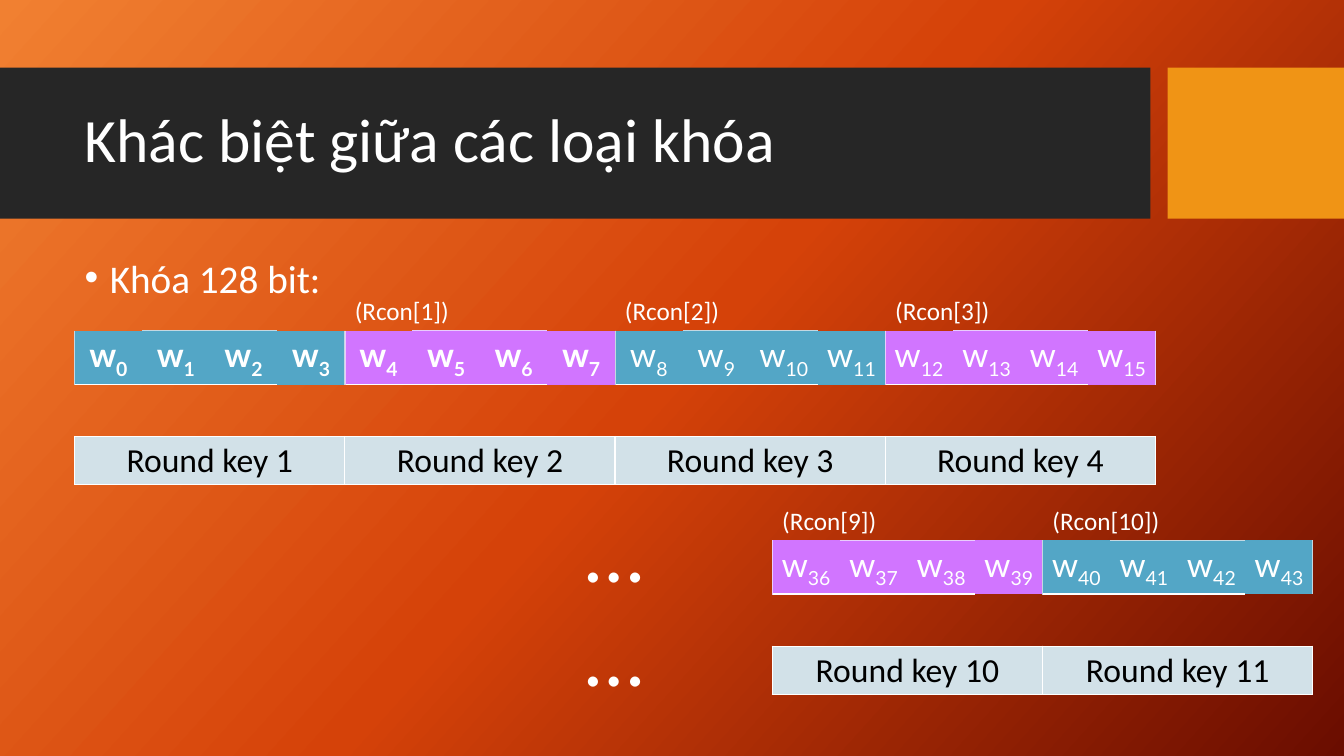
from copy import deepcopy
from dataclasses import dataclass
from typing import Any, Optional

from lxml import etree
from pptx import Presentation
from pptx.dml.color import RGBColor
from pptx.enum.shapes import MSO_SHAPE
from pptx.enum.text import MSO_ANCHOR, MSO_AUTO_SIZE, PP_ALIGN
from pptx.oxml.ns import qn
from pptx.util import Inches, Pt

RECTANGLE = MSO_SHAPE.RECTANGLE
MIDDLE = MSO_ANCHOR.MIDDLE
TOP = MSO_ANCHOR.TOP
CENTER = PP_ALIGN.CENTER
FIT_SHAPE = MSO_AUTO_SIZE.SHAPE_TO_FIT_TEXT
NO_AUTO_SIZE = MSO_AUTO_SIZE.NONE

WHITE = RGBColor(0xFF, 0xFF, 0xFF)
BLACK = RGBColor(0x00, 0x00, 0x00)
CHARCOAL = RGBColor(0x26, 0x26, 0x26)
AMBER = RGBColor(0xF0, 0x94, 0x15)
BLUE = RGBColor(0x53, 0xA6, 0xC6)
PALE_BLUE = RGBColor(0xC4, 0xD8, 0xE2)
PURPLE = RGBColor(0xD1, 0x75, 0xFF)
PALE_PURPLE = RGBColor(0xE9, 0xCC, 0xFC)
KEY_FILL = RGBColor(0xD2, 0xE1, 0xE8)
BACKGROUND_STOPS = (
    (0, RGBColor(0xF1, 0x80, 0x31)),
    (0.5, RGBColor(0xD5, 0x42, 0x09)),
    (1, RGBColor(0x6A, 0x0D, 0x00)),
)

BODY_FONT = "Calibri"
WORD_FONT = "Lato"
NO_TABLE_STYLE = "{2D5ABB26-0587-4C30-8999-92F81FD0307C}"
WORDS_PER_KEY = 4
WORD_WIDTH = 0.67
KEY_WIDTH = WORDS_PER_KEY * WORD_WIDTH
WORD_HEIGHT = 0.51
KEY_HEIGHT = 0.47
RCON_RISE = 0.4
KEY_DROP = 1.05

Borders = dict[str, tuple[RGBColor, float]]


@dataclass(frozen=True)
class KeyRow:
    left: float
    top: float
    first_key: int
    key_count: int


@dataclass(frozen=True)
class Label:
    text: str
    left: float
    top: float
    width: float
    height: float
    size: int
    wrap: bool = True
    auto_size: Any = FIT_SHAPE
    anchor: Any = TOP
    line_spacing: Optional[float] = None
    space_before: Optional[int] = None
    bullet: bool = False


KEY_ROWS = (KeyRow(0.74, 3.28, 1, 4), KeyRow(7.66, 5.36, 10, 2))
LABELS = (
    Label("Khác biệt giữa các loại khóa", 0.74, 0.82, 10.51, 1.18, 44,
          auto_size=NO_AUTO_SIZE, anchor=MIDDLE, line_spacing=0.9),
    Label("Khóa 128 bit:", 0.74, 2.56, 2.68, 0.5, 28,
          auto_size=NO_AUTO_SIZE, line_spacing=0.8, space_before=10, bullet=True),
    Label("…", 5.71, 4.9, 0.78, 1.11, 60),
    Label("…", 5.71, 5.93, 0.78, 1.11, 60),
)


def set_attributes(target: Any, values: dict[str, Any]) -> None:
    for name, value in values.items():
        setattr(target, name, value)


def add_run(paragraph: Any, text: str, font_name: str, size: int,
            color: RGBColor, bold: bool = False) -> Any:
    run = paragraph.add_run()
    run.text = text
    set_attributes(run.font, {"name": font_name, "size": Pt(size), "bold": bold})
    run.font.color.rgb = color
    return run


def paint_background(slide: Any) -> None:
    fill = slide.background.fill
    fill.gradient()
    fill.gradient_angle = 360 - 42
    first_stop = next(slide.element.iter(qn("a:gs")))
    first_stop.addnext(deepcopy(first_stop))
    for stop, (position, color) in zip(fill.gradient_stops, BACKGROUND_STOPS):
        stop.position = position
        stop.color.rgb = color


def add_band(slide: Any, left: float, width: float, color: RGBColor) -> None:
    shape = slide.shapes.add_shape(
        RECTANGLE, Inches(left), Inches(0.67), Inches(width), Inches(1.5))
    shape.shadow.inherit = False
    shape.fill.solid()
    shape.fill.fore_color.rgb = color
    shape.line.fill.background()


def add_label(slide: Any, label: Label) -> None:
    box = slide.shapes.add_textbox(Inches(label.left), Inches(label.top),
                                   Inches(label.width), Inches(label.height))
    set_attributes(box.text_frame, {
        "word_wrap": label.wrap,
        "auto_size": label.auto_size,
        "vertical_anchor": label.anchor,
    })
    paragraph = box.text_frame.paragraphs[0]
    if label.line_spacing:
        paragraph.line_spacing = label.line_spacing
    if label.space_before:
        paragraph.space_before = Pt(label.space_before)
    if label.bullet:
        properties = paragraph._p.get_or_add_pPr()
        properties.set("marL", str(Inches(0.25)))
        properties.set("indent", str(Inches(-0.25)))
        etree.SubElement(properties, qn("a:buFont"), typeface="Arial")
        etree.SubElement(properties, qn("a:buChar"), char="•")
    add_run(paragraph, label.text, BODY_FONT, label.size, WHITE)


def add_one_row_table(slide: Any, left: float, top: float, height: float,
                      column_count: int) -> Any:
    table = slide.shapes.add_table(1, column_count, Inches(left), Inches(top),
                                   Inches(KEY_WIDTH), Inches(height)).table
    set_attributes(table, {"first_row": False, "horz_banding": False})
    next(table._tbl.iter(qn("a:tableStyleId"))).text = NO_TABLE_STYLE
    return table


def format_cell(cell: Any, fill: RGBColor, borders: Borders) -> Any:
    """Style the cell and return its centred paragraph."""
    set_attributes(cell, {
        "vertical_anchor": MIDDLE,
        "margin_left": Inches(0.07), "margin_right": Inches(0.07),
        "margin_top": Inches(0.04), "margin_bottom": Inches(0.04),
    })
    properties = cell._tc.get_or_add_tcPr()
    for side in "LRTB":
        if side in borders:
            color, width = borders[side]
            line = etree.SubElement(properties, qn(f"a:ln{side}"), w=str(Pt(width)))
            solid = etree.SubElement(line, qn("a:solidFill"))
            etree.SubElement(solid, qn("a:srgbClr"), val=str(color))
    cell.fill.solid()
    cell.fill.fore_color.rgb = fill
    paragraph = cell.text_frame.paragraphs[0]
    paragraph.alignment = CENTER
    return paragraph


def add_words(slide: Any, left: float, top: float, key: int) -> None:
    fill, edge = (BLUE, PALE_BLUE) if key % 2 else (PURPLE, PALE_PURPLE)
    last = WORDS_PER_KEY - 1
    table = add_one_row_table(slide, left, top, WORD_HEIGHT, WORDS_PER_KEY)
    for column in range(WORDS_PER_KEY):
        borders: Borders = {}
        if column == 0:
            borders["L"] = (edge, 0.5)
        if column == last:
            borders["R"] = (edge, 0.5)
        else:
            borders["B"] = (WHITE, 1.5)
        if 0 < column < last:
            borders["T"] = (edge, 0.5)
        paragraph = format_cell(table.cell(0, column), fill, borders)
        index = str((key - 1) * WORDS_PER_KEY + column)
        bold = key <= 2
        add_run(paragraph, "w", WORD_FONT, 24, WHITE, bold)
        subscript = add_run(paragraph, index, WORD_FONT, 24, WHITE, bold)
        subscript._r.get_or_add_rPr().set("baseline", "-25000")


def add_round_key(slide: Any, left: float, top: float, key: int) -> None:
    table = add_one_row_table(slide, left, top, KEY_HEIGHT, 1)
    borders = {side: (WHITE, 1) for side in "LRTB"}
    paragraph = format_cell(table.cell(0, 0), KEY_FILL, borders)
    add_run(paragraph, f"Round key {key}", BODY_FONT, 24, BLACK)


def add_key_row(slide: Any, row: KeyRow) -> None:
    for position in range(row.key_count):
        key = row.first_key + position
        left = row.left + position * KEY_WIDTH
        add_words(slide, left, row.top, key)
        add_round_key(slide, left, row.top + KEY_DROP, key)
        if key > 1:
            width = 1.15 if key <= 10 else 1.27
            add_label(slide, Label(f"(Rcon[{key - 1}])", left, row.top - RCON_RISE,
                                   width, 0.4, 18, wrap=False))


def main() -> None:
    presentation = Presentation()
    set_attributes(presentation, {"slide_width": Inches(13.33), "slide_height": Inches(7.5)})
    slide = presentation.slides.add_slide(presentation.slide_layouts[6])
    paint_background(slide)
    add_band(slide, 0, 11.41, CHARCOAL)
    add_band(slide, 11.58, 1.75, AMBER)
    for label in LABELS:
        add_label(slide, label)
    for row in KEY_ROWS:
        add_key_row(slide, row)
    presentation.save("out.pptx")


if __name__ == "__main__":
    main()
